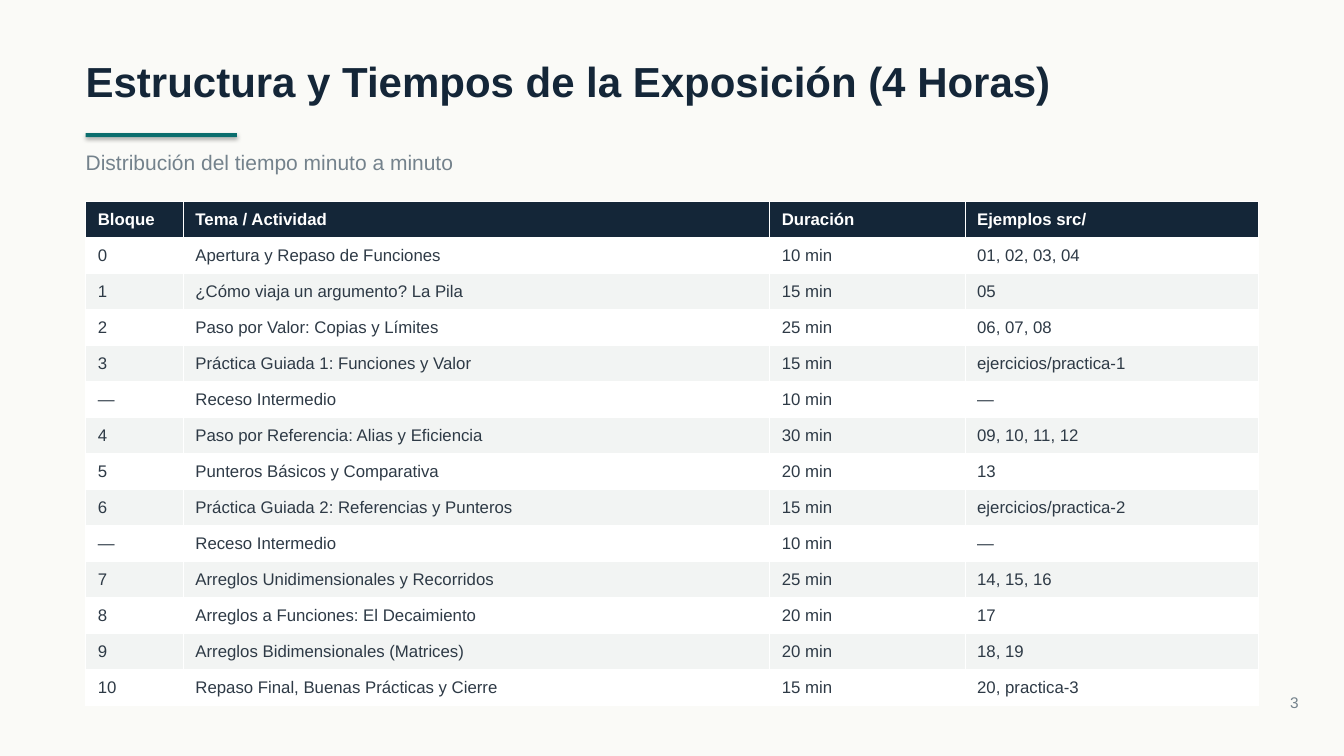
from lxml.etree import SubElement
from pptx import Presentation
from pptx.dml.color import RGBColor
from pptx.enum.shapes import MSO_SHAPE
from pptx.enum.text import MSO_ANCHOR, MSO_AUTO_SIZE, PP_ALIGN
from pptx.oxml.ns import qn
from pptx.util import Inches, Pt

NAVY = RGBColor(0x14, 0x26, 0x38)
TEAL = RGBColor(0x0B, 0x6E, 0x6E)
GRAY = RGBColor(0x74, 0x82, 0x8C)
INK = RGBColor(0x2E, 0x3A, 0x46)
WHITE = RGBColor(0xFF, 0xFF, 0xFF)
PALE = RGBColor(0xF2, 0xF4, 0xF3)
CREAM = RGBColor(0xFA, 0xFA, 0xF7)

WIDTH, HEIGHT = Inches(13.33), Inches(7.5)
MARGIN = Inches(0.85)
INNER = WIDTH - 2 * MARGIN
SPANS = (1, 6, 2, 3)  # column widths in twelfths of the table

ROWS = (
    ("Bloque", "Tema / Actividad", "Duración", "Ejemplos src/"),
    ("0", "Apertura y Repaso de Funciones", "10 min", "01, 02, 03, 04"),
    ("1", "¿Cómo viaja un argumento? La Pila", "15 min", "05"),
    ("2", "Paso por Valor: Copias y Límites", "25 min", "06, 07, 08"),
    ("3", "Práctica Guiada 1: Funciones y Valor", "15 min", "ejercicios/practica-1"),
    ("—", "Receso Intermedio", "10 min", "—"),
    ("4", "Paso por Referencia: Alias y Eficiencia", "30 min", "09, 10, 11, 12"),
    ("5", "Punteros Básicos y Comparativa", "20 min", "13"),
    ("6", "Práctica Guiada 2: Referencias y Punteros", "15 min", "ejercicios/practica-2"),
    ("—", "Receso Intermedio", "10 min", "—"),
    ("7", "Arreglos Unidimensionales y Recorridos", "25 min", "14, 15, 16"),
    ("8", "Arreglos a Funciones: El Decaimiento", "20 min", "17"),
    ("9", "Arreglos Bidimensionales (Matrices)", "20 min", "18, 19"),
    ("10", "Repaso Final, Buenas Prácticas y Cierre", "15 min", "20, practica-3"),
)


def style(par, size, color, bold=False):
    for run in par.runs:
        font = run.font
        font.name, font.size, font.bold = "Arial", Pt(size), bold
        font.color.rgb = color


def add_text(slide, box, text, size, color, bold=False, align=PP_ALIGN.LEFT):
    frame = slide.shapes.add_textbox(*box).text_frame
    frame.margin_left = frame.margin_right = 0
    frame.margin_top = frame.margin_bottom = 0
    frame.word_wrap = True
    frame.auto_size = MSO_AUTO_SIZE.SHAPE_TO_FIT_TEXT
    frame.text = text
    par = frame.paragraphs[0]
    par.alignment = align
    style(par, size, color, bold)


def add_header(slide, left, top, width, title, note):
    """Place the title, its accent bar with the theme shadow, and the subtitle."""
    add_text(slide, (left, top, width, Inches(0.5)), title, 30, NAVY, bold=True)
    bar = slide.shapes.add_shape(
        MSO_SHAPE.RECTANGLE, left, top + Inches(0.77), Inches(1.5), Inches(0.04))
    bar.fill.solid()
    bar.fill.fore_color.rgb = TEAL
    bar.line.fill.background()
    add_text(slide, (left, top + Inches(0.93), width, Inches(0.25)), note, 15, GRAY)


def add_edges(cell):
    """Draw thin white borders; these must come before the cell's fill."""
    props = cell._tc.get_or_add_tcPr()
    for side in ("a:lnL", "a:lnR", "a:lnT", "a:lnB"):
        line = SubElement(props, qn(side), w=str(Pt(1)))
        fill = SubElement(line, qn("a:solidFill"))
        SubElement(fill, qn("a:srgbClr"), val=str(WHITE))


def fill_cell(cell, text, back, color, bold):
    add_edges(cell)
    cell.fill.solid()
    cell.fill.fore_color.rgb = back
    cell.margin_left = cell.margin_right = Inches(0.12)
    cell.margin_top = cell.margin_bottom = Inches(0.05)
    cell.vertical_anchor = MSO_ANCHOR.MIDDLE
    cell.text_frame.text = text
    style(cell.text_frame.paragraphs[0], 12, color, bold)


def add_plan(slide, left, top, width, height):
    table = slide.shapes.add_table(
        len(ROWS), len(SPANS), left, top, width, height).table
    for col, span in zip(table.columns, SPANS):
        col.width = int(width * span / sum(SPANS))
    for r, texts in enumerate(ROWS):
        table.rows[r].height = int(height / len(ROWS))
        head = r == 0
        back = NAVY if head else WHITE if r % 2 else PALE
        for c, text in enumerate(texts):
            fill_cell(table.cell(r, c), text, back, WHITE if head else INK, head)


def main():
    deck = Presentation()
    deck.slide_width, deck.slide_height = WIDTH, HEIGHT
    slide = deck.slides.add_slide(deck.slide_layouts[6])
    slide.background.fill.solid()
    slide.background.fill.fore_color.rgb = CREAM
    add_header(slide, MARGIN, Inches(0.55), INNER,
               "Estructura y Tiempos de la Exposición (4 Horas)",
               "Distribución del tiempo minuto a minuto")
    add_plan(slide, MARGIN, Inches(2), INNER, Inches(5))
    page = (WIDTH - Inches(1.35), Inches(6.88), Inches(0.9), Inches(0.18))
    add_text(slide, page, "3", 11, GRAY, align=PP_ALIGN.RIGHT)
    deck.save("out.pptx")


if __name__ == "__main__":
    main()
